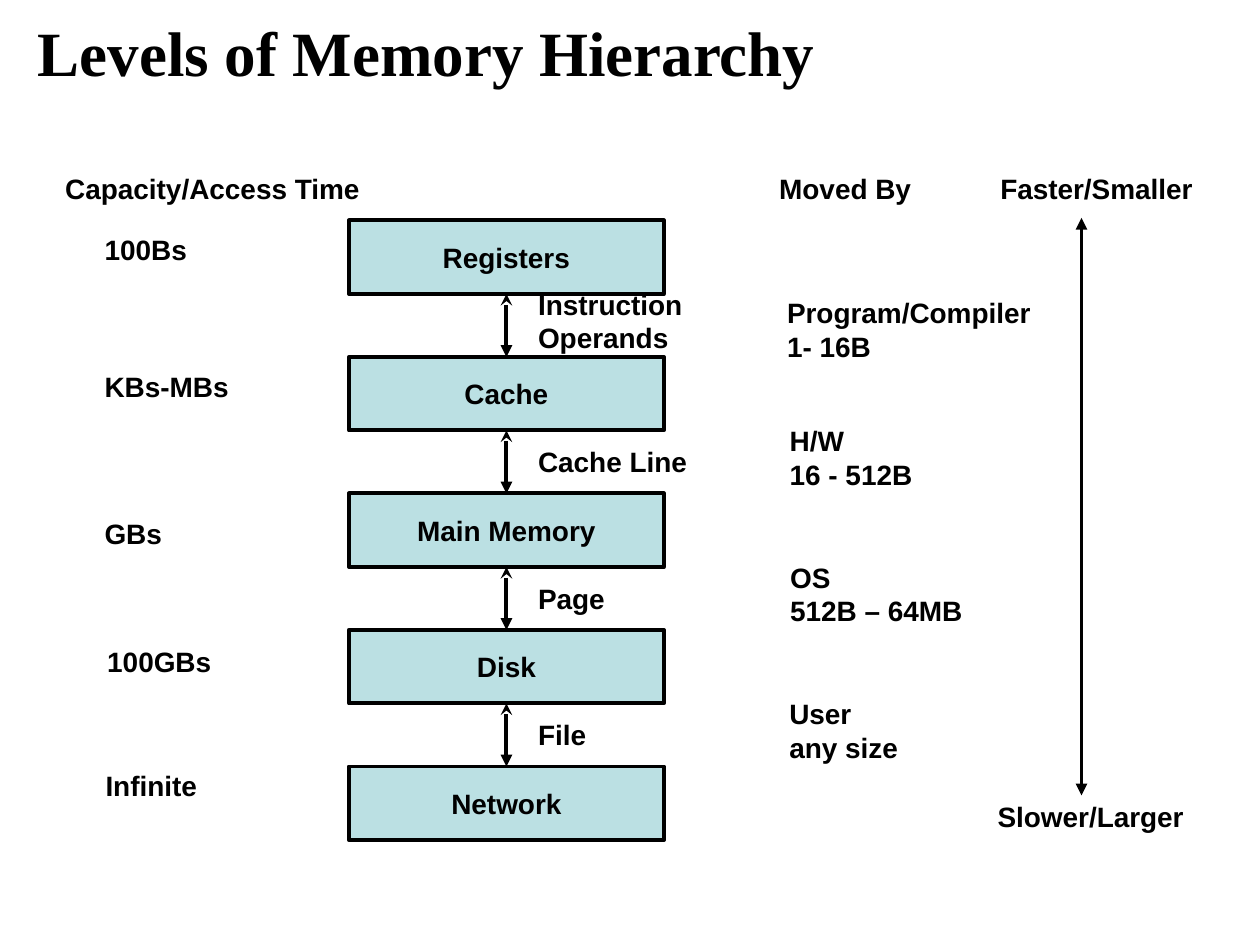
from lxml import etree
from pptx import Presentation
from pptx.dml.color import RGBColor
from pptx.enum import shapes, text
from pptx.oxml.ns import qn
from pptx.util import Pt

BLACK = "000000"
LEVEL_FILL = "BBE0E3"
LEVEL_PITCH = 78
LEVEL_HEIGHT = 42

LEVELS = ["Registers", "Cache", "Main Memory", "Disk", "Network"]
# Text, offset from the column's left and top, width
UNITS = [
    ("Instruction\nOperands", 0, 0, 104),
    ("Cache Line", 0, 90, 104),
    ("Page", 0, 168, 57),
    ("File", 0, 246, 46),
]
CAPACITIES = [
    ("Capacity/Access Time", 0, 0, 187),
    ("100Bs", 22.5, 35, 66),
    ("KBs-MBs", 22.5, 113, 90),
    ("GBs", 22.5, 197, 52),
    ("100GBs", 24, 270, 78),
    ("Infinite", 23, 341, 71),
]
MOVERS = [
    ("Moved By", 0, 0, 94),
    ("Program/Compiler\n1- 16B", 4.5, 71, 158),
    ("H/W\n16 - 512B", 6, 144, 89),
    ("OS\n512B – 64MB", 6.25, 222, 117),
    ("User\nany size", 5.75, 300, 81),
]
SPEEDS = [
    ("Faster/Smaller", 1.5, 0, 129),
    ("Slower/Larger", 0, 359, 125),
]


def color(hex_code):
    return RGBColor.from_string(hex_code)


def format_text(frame, font_name, size):
    for para in frame.paragraphs:
        for span in para.runs:
            span.font.name = font_name
            span.font.size = Pt(size)
            span.font.bold = True
            span.font.color.rgb = color(BLACK)


def add_title(page, left, top, width, height):
    title = page.shapes.title
    title.left, title.top = Pt(left), Pt(top)
    title.width, title.height = Pt(width), Pt(height)
    frame = title.text_frame
    frame.text = "Levels of Memory Hierarchy"
    frame.vertical_anchor = text.MSO_ANCHOR.MIDDLE
    frame.paragraphs[0].alignment = text.PP_ALIGN.LEFT
    format_text(frame, "Times New Roman", 36)


def add_label(page, words, left, top, width):
    height = 46 if "\n" in words else 26.6
    box = page.shapes.add_textbox(Pt(left), Pt(top), Pt(width), Pt(height))
    frame = box.text_frame
    frame.text = words
    frame.word_wrap = True
    frame.auto_size = text.MSO_AUTO_SIZE.SHAPE_TO_FIT_TEXT
    format_text(frame, "Arial", 16)


def add_label_column(page, labels, left, top):
    for words, across, down, width in labels:
        add_label(page, words, left + across, top + down, width)


def add_arrow(page, x, top, bottom, head):
    """Add a vertical arrow with the given head at the top and a triangle below."""
    arrow = page.shapes.add_connector(
        shapes.MSO_CONNECTOR.STRAIGHT, Pt(x), Pt(top), Pt(x), Pt(bottom))
    arrow.line.color.rgb = color(BLACK)
    arrow.line.width = Pt(2.25)
    line = arrow.line._get_or_add_ln()
    etree.SubElement(line, qn("a:headEnd"), type=head)
    etree.SubElement(line, qn("a:tailEnd"), type="triangle")
    etree.SubElement(arrow._element.spPr, qn("a:effectLst"))
    return arrow


def add_level(page, name, left, top, width):
    box = page.shapes.add_shape(
        shapes.MSO_SHAPE.RECTANGLE, Pt(left), Pt(top), Pt(width), Pt(LEVEL_HEIGHT))
    box.shadow.inherit = False
    box.fill.solid()
    box.fill.fore_color.rgb = color(LEVEL_FILL)
    box.line.color.rgb = color(BLACK)
    box.line.width = Pt(2.25)
    frame = box.text_frame
    frame.text = name
    frame.word_wrap = False
    frame.vertical_anchor = text.MSO_ANCHOR.MIDDLE
    frame.paragraphs[0].alignment = text.PP_ALIGN.CENTER
    format_text(frame, "Arial", 16)
    return box


def add_hierarchy(page, left, top, width):
    boxes = [add_level(page, name, left, top + index * LEVEL_PITCH, width)
             for index, name in enumerate(LEVELS)]
    for index, (upper, lower) in enumerate(zip(boxes, boxes[1:])):
        start = top + index * LEVEL_PITCH + LEVEL_HEIGHT
        end = top + (index + 1) * LEVEL_PITCH
        arrow = add_arrow(page, left + width / 2, start, end, "stealth")
        arrow.begin_connect(upper, 2)
        arrow.end_connect(lower, 0)
    add_label_column(page, UNITS, left + 101, top + 34.6)


def add_speed_scale(page, left, top):
    add_label_column(page, SPEEDS, left, top)
    add_arrow(page, left + 55, top + 30, top + 360, "triangle")


def main():
    deck = Presentation()
    deck.slide_width, deck.slide_height = Pt(720), Pt(540)
    page = deck.slides.add_slide(deck.slide_layouts[5])
    add_title(page, 14.4, 3.6, 623.5, 51)
    add_hierarchy(page, 199.4, 126, 180)
    add_label_column(page, CAPACITIES, 30.2, 94.5)
    add_label_column(page, MOVERS, 438.2, 94.5)
    add_speed_scale(page, 563, 94.5)
    deck.save("out.pptx")


if __name__ == "__main__":
    main()
